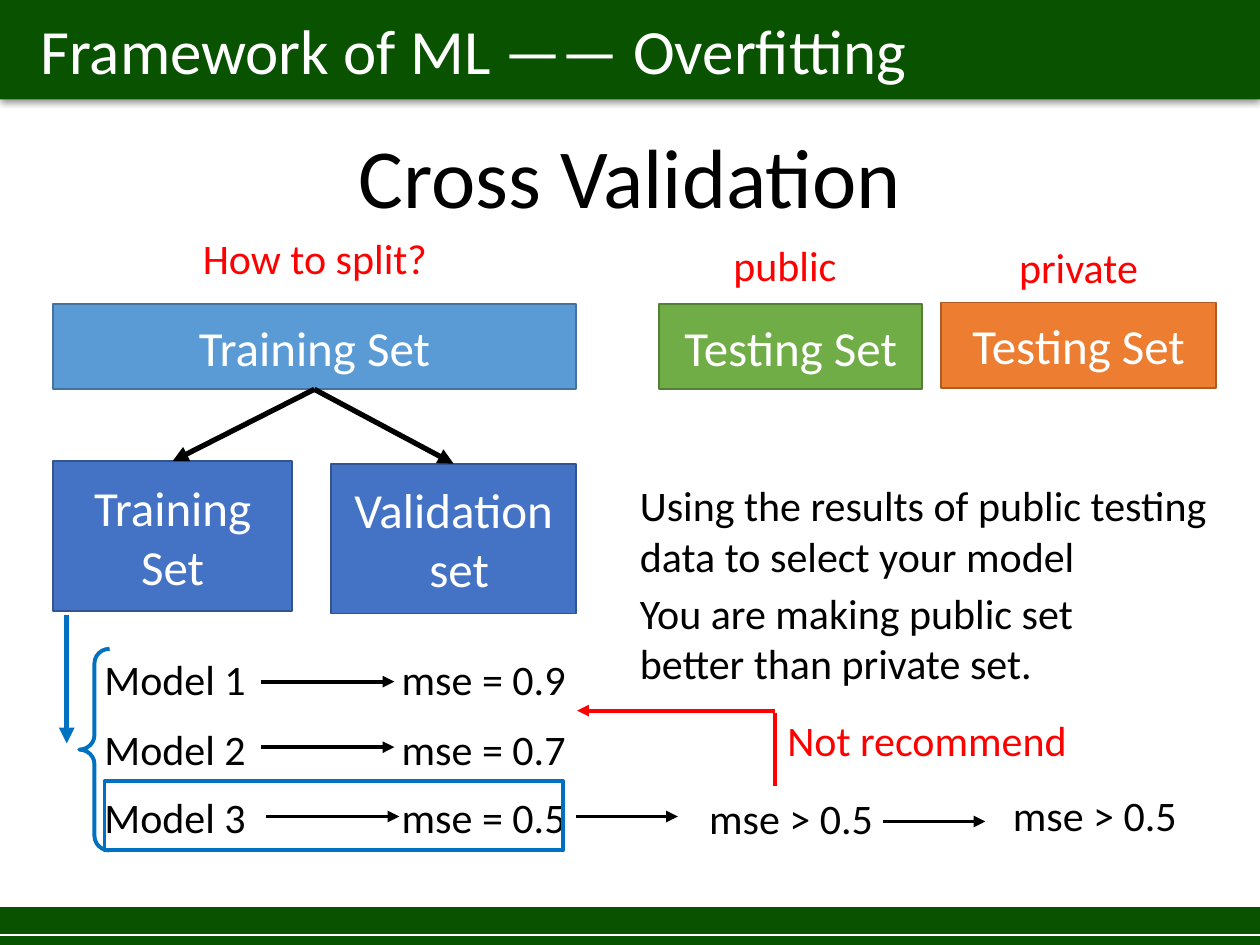
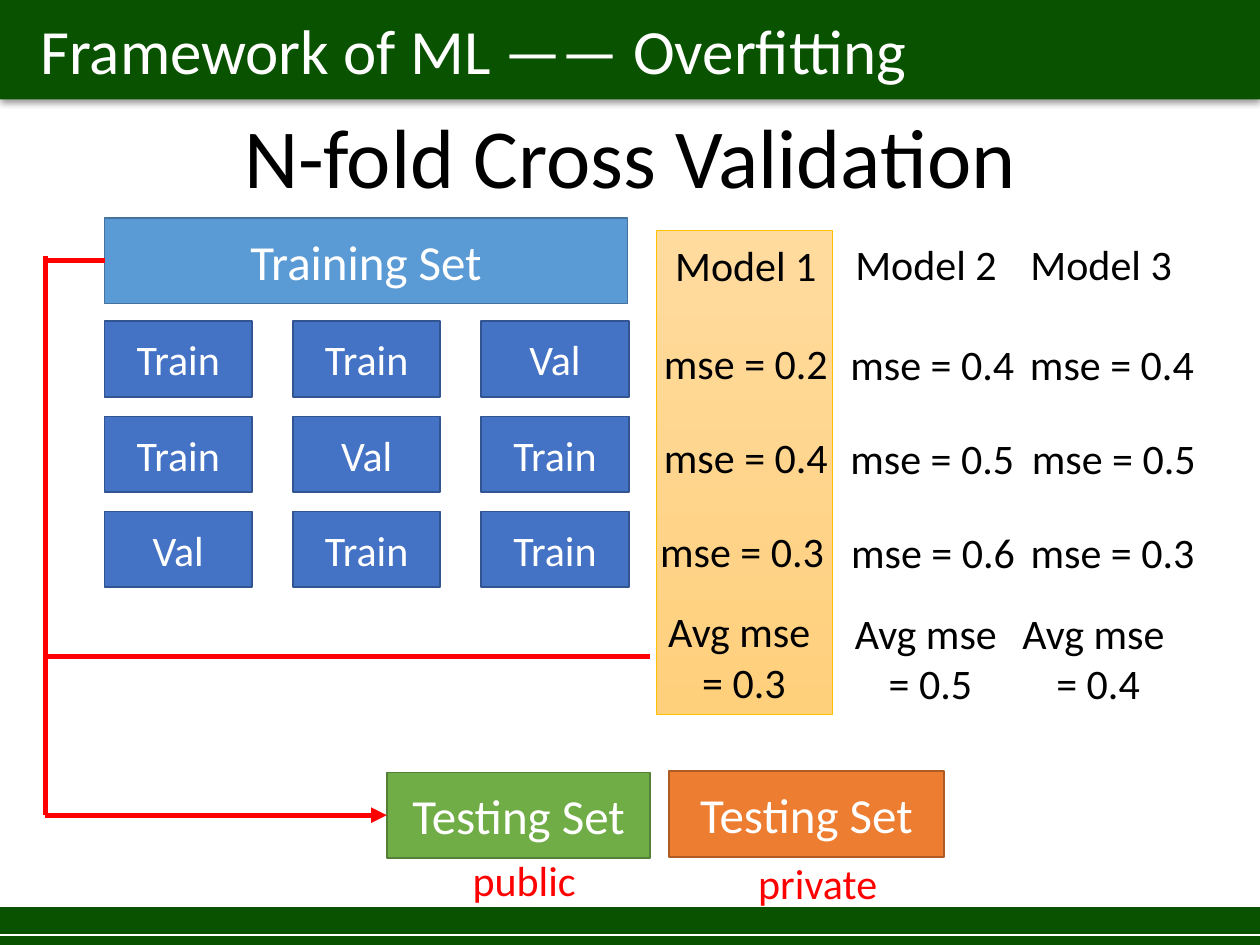
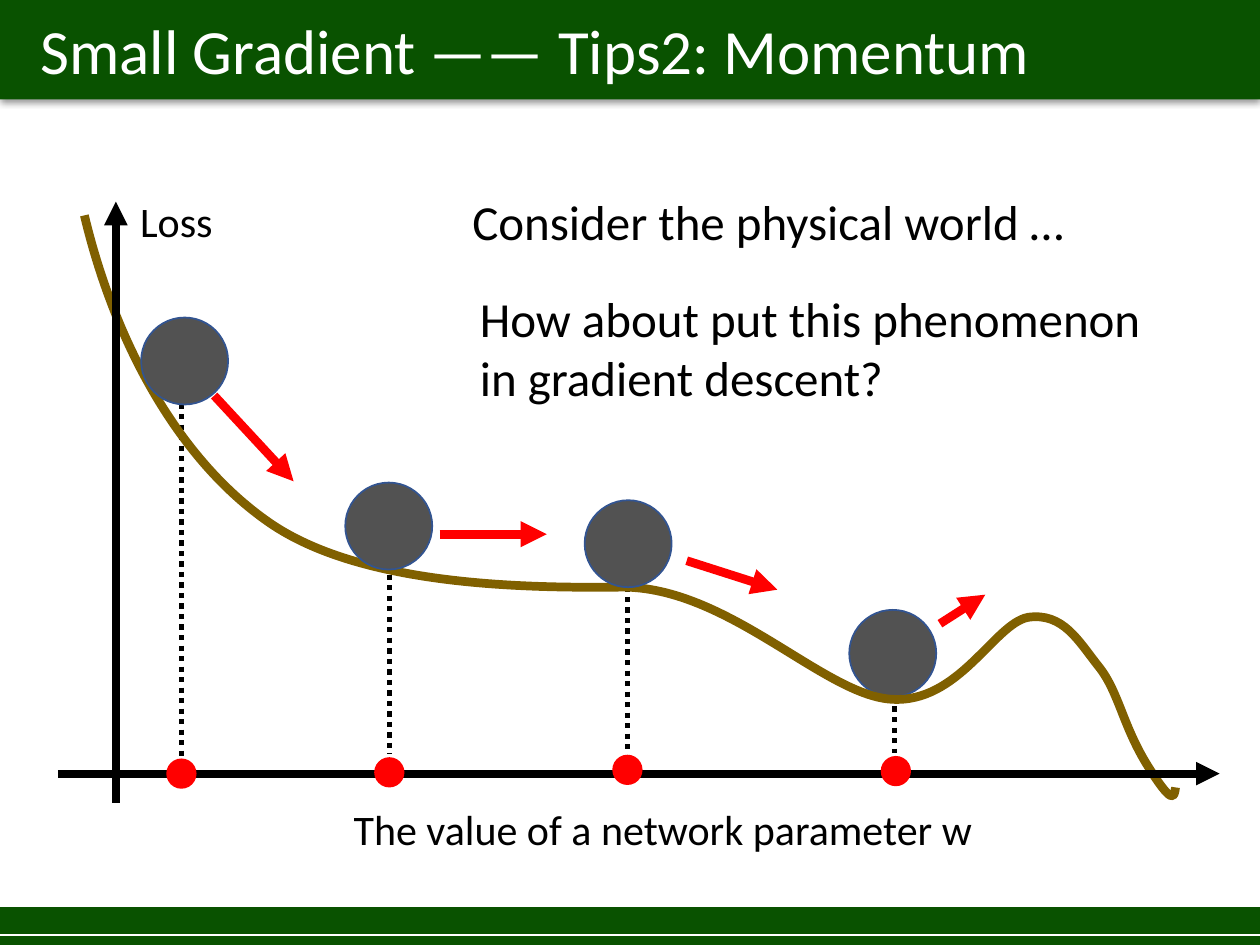
from dataclasses import dataclass
from typing import Any, NamedTuple

from lxml import etree
from pptx import Presentation
from pptx.dml.color import RGBColor
from pptx.enum.dml import MSO_LINE
from pptx.enum.shapes import MSO_CONNECTOR, MSO_SHAPE
from pptx.enum.text import MSO_ANCHOR, MSO_AUTO_SIZE, PP_ALIGN
from pptx.oxml.ns import qn
from pptx.util import Inches, Pt

RECTANGLE = MSO_SHAPE.RECTANGLE
ELLIPSE = MSO_SHAPE.OVAL
LEFT_BRACE = MSO_SHAPE.LEFT_BRACE
STRAIGHT = MSO_CONNECTOR.STRAIGHT
DOTTED = MSO_LINE.ROUND_DOT
LEFT = PP_ALIGN.LEFT
CENTER = PP_ALIGN.CENTER
TOP = MSO_ANCHOR.TOP
MIDDLE = MSO_ANCHOR.MIDDLE
BOTTOM = MSO_ANCHOR.BOTTOM
GROW = MSO_AUTO_SIZE.SHAPE_TO_FIT_TEXT
FIXED = MSO_AUTO_SIZE.NONE

FONT = "Calibri"
GREEN_BAND = "095200"
BLACK = "000000"
WHITE = "FFFFFF"
RED = "FF0000"
BLUE = "0070C0"
BROWN = "806000"
GREY = "525252"

TOP_SIDE, LEFT_SIDE, BOTTOM_SIDE = 0, 1, 2

Point = tuple[float, float]


class Palette(NamedTuple):
    fill: str | None
    line: str | None
    weight: float = 1


SKY = Palette("5B9BD5", "43739E")
ROYAL = Palette("4472C4", "325491")
LEAF = Palette("70AD47", "538035")
ORANGE = Palette("ED7D31", "AF5C24")
BALL = Palette(GREY, "325491")
MARKER = Palette(RED, None)
BAND = Palette(GREEN_BAND, None)
OUTLINE = Palette(None, BLUE, 2.25)
HIGHLIGHT = Palette(None, "FFC000", 0.5)


@dataclass
class Box:
    left: float
    top: float
    width: float
    height: float
    palette: Palette
    text: str = ""
    size: float = 28
    align: Any = CENTER
    inset: float = 0.1
    preset: Any = RECTANGLE


@dataclass
class Label:
    text: str
    left: float
    top: float
    width: float
    height: float = 0.5
    size: float = 24
    color: str = BLACK
    align: Any = LEFT
    anchor: Any = TOP
    autosize: Any = GROW
    spacing: float = 1


@dataclass
class Stroke:
    start: Point
    end: Point
    color: str = BLACK
    weight: float = 2.25
    arrow: bool = True
    dash: Any = None


class Score(NamedTuple):
    value: str
    left: float
    width: float


class Model(NamedTuple):
    name: str
    name_left: float
    average_left: float
    name_top: float
    scores_top: float
    scores: tuple[Score, ...]
    average: str


def colour(value: str) -> RGBColor:
    return RGBColor.from_string(value)


def set_attributes(target: Any, values: dict[str, Any]) -> None:
    for name, value in values.items():
        setattr(target, name, value)


def write_text(frame: Any, text: str, size: float, color: str, align: Any,
               spacing: float = 1) -> None:
    for index, line in enumerate(text.split("\n")):
        para = frame.add_paragraph() if index else frame.paragraphs[0]
        set_attributes(para, {"alignment": align, "line_spacing": spacing})
        span = para.add_run()
        span.text = line
        set_attributes(span.font, {"name": FONT, "size": Pt(size)})
        span.font.color.rgb = colour(color)


def paint(shape: Any, palette: Palette) -> None:
    shape.shadow.inherit = False
    if palette.fill:
        shape.fill.solid()
        shape.fill.fore_color.rgb = colour(palette.fill)
    else:
        shape.fill.background()
    if palette.line:
        shape.line.color.rgb = colour(palette.line)
        shape.line.width = Pt(palette.weight)
    else:
        shape.line.fill.background()


def draw_box(page: Any, box: Box) -> Any:
    shape = page.shapes.add_shape(
        box.preset, Inches(box.left), Inches(box.top), Inches(box.width), Inches(box.height))
    paint(shape, box.palette)
    if box.text:
        frame = shape.text_frame
        set_attributes(frame, {"word_wrap": True, "vertical_anchor": MIDDLE,
                               "margin_left": Inches(box.inset)})
        write_text(frame, box.text, box.size, WHITE, box.align)
    return shape


def draw_label(page: Any, label: Label) -> None:
    shape = page.shapes.add_textbox(
        Inches(label.left), Inches(label.top), Inches(label.width), Inches(label.height))
    set_attributes(shape.text_frame, {"word_wrap": True, "vertical_anchor": label.anchor,
                                      "auto_size": label.autosize})
    write_text(shape.text_frame, label.text, label.size, label.color, label.align, label.spacing)


def draw_stroke(page: Any, stroke: Stroke) -> Any:
    ends = [Inches(value) for value in (*stroke.start, *stroke.end)]
    connector = page.shapes.add_connector(STRAIGHT, *ends)
    connector.line.color.rgb = colour(stroke.color)
    set_attributes(connector.line, {"width": Pt(stroke.weight), "dash_style": stroke.dash})
    properties = connector.element.spPr
    if stroke.arrow:
        etree.SubElement(properties.find(qn("a:ln")), qn("a:tailEnd"), type="triangle")
    etree.SubElement(properties, qn("a:effectLst"))
    return connector


def draw_heading(page: Any, text: str, top: float) -> None:
    draw_label(page, Label(text, 0.69, top, 8.62, 1.45, 48, align=CENTER,
                           anchor=BOTTOM, autosize=FIXED, spacing=0.9))


def add_page(deck: Any, title: str) -> Any:
    page = deck.slides.add_slide(deck.slide_layouts[6])
    header = draw_box(page, Box(0, -0.01, 10, 0.8, BAND, title, 36, LEFT, 0.32))
    effects = header.element.spPr.find(qn("a:effectLst"))
    shadow = etree.SubElement(effects, qn("a:outerShdw"), blurRad=str(Pt(4)), dist=str(Pt(1)),
                              dir="5400000", algn="t", rotWithShape="0")
    shade = etree.SubElement(shadow, qn("a:srgbClr"), val=BLACK)
    etree.SubElement(shade, qn("a:alpha"), val="40000")
    draw_box(page, Box(0, 7.2, 10, 0.3, BAND))
    draw_stroke(page, Stroke((0, 7.42), (10, 7.42), WHITE, 0.75, False))
    return page


def draw_testing_sets(page: Any, left: float, top: float) -> Any:
    public = draw_box(page, Box(left, top, 2.09, 0.68, LEAF, "Testing Set"))
    draw_box(page, Box(left + 2.24, top - 0.01, 2.18, 0.68, ORANGE, "Testing Set"))
    return public


def cross_validation(deck: Any) -> None:
    page = add_page(deck, "Framework of ML —— Overfitting")
    whole = draw_box(page, Box(0.42, 2.41, 4.15, 0.68, SKY, "Training Set"))
    draw_testing_sets(page, 5.23, 2.41)
    draw_label(page, Label("public", 5.23, 1.85, 2, color=RED, align=CENTER))
    draw_label(page, Label("private", 7.56, 1.87, 2, color=RED, align=CENTER))
    training = draw_box(page, Box(0.42, 3.66, 1.9, 1.19, ROYAL, "Training Set"))
    validation = draw_box(page, Box(2.63, 3.68, 1.94, 1.19, ROYAL, "Validation\n set"))
    for part, end in ((training, (1.37, 3.66)), (validation, (3.6, 3.68))):
        split = draw_stroke(page, Stroke((2.5, 3.09), end, weight=3))
        split.begin_connect(whole, BOTTOM_SIDE)
        split.end_connect(part, TOP_SIDE)

    rows = (("Model 1", "mse = 0.9", 5.14), ("Model 2", "mse = 0.7", 5.69),
            ("Model 3", "mse = 0.5", 6.23))
    for name, error, top in rows:
        draw_label(page, Label(name, 0.73, top, 1.38))
        draw_label(page, Label(error, 3.09, top, 1.7))
    for left, top, length in ((2.07, 5.41, 1.06), (2.07, 5.93, 1.06), (2.11, 6.48, 1.06),
                              (4.57, 6.48, 0.81), (7.01, 6.52, 0.81)):
        draw_stroke(page, Stroke((left, top), (left + length, top)))
    for left, top in ((5.53, 6.24), (7.94, 6.22)):
        draw_label(page, Label("mse > 0.5", left, top, 1.7))
    brace = draw_box(page, Box(0.63, 5.15, 0.24, 1.6, OUTLINE, preset=LEFT_BRACE))
    brace.adjustments[0] = 0.48
    draw_stroke(page, Stroke((0.53, 4.88), (0.53, 5.9), BLUE, 3))
    draw_box(page, Box(0.83, 6.2, 3.64, 0.55, OUTLINE))
    draw_stroke(page, Stroke((6.15, 6.24), (6.15, 5.66), RED, arrow=False))
    draw_stroke(page, Stroke((6.15, 5.64), (4.58, 5.64), RED))

    for label in (
        Label("Using the results of public testing data to select your model",
              4.98, 3.76, 4.81, 0.91),
        Label("You are making public set better than private set.", 4.98, 4.61, 4.08, 0.91),
        Label("Not recommend", 6.15, 5.62, 2.75, color=RED),
        Label("How to split?", 0.46, 1.8, 4.08, color=RED, align=CENTER),
    ):
        draw_label(page, label)
    draw_heading(page, "Cross Validation", 0.4)


def n_fold(deck: Any) -> None:
    page = add_page(deck, "Framework of ML —— Overfitting")
    chosen = draw_box(page, Box(5.21, 1.83, 1.4, 3.84, HIGHLIGHT))
    chosen.fill.gradient()
    chosen.fill.gradient_angle = 270
    for stop, shade in zip(chosen.fill.gradient_stops, ("FFDB9E", "FFD07C")):
        stop.color.rgb = colour(shade)
    draw_heading(page, "N-fold Cross Validation", 0.24)

    whole = draw_box(page, Box(0.83, 1.73, 4.15, 0.68, SKY, "Training Set"))
    for row in range(3):
        for column in range(3):
            text = "Val" if row + column == 2 else "Train"
            draw_box(page, Box(0.83 + 1.495 * column, 2.55 + 0.755 * row, 1.17, 0.6,
                               ROYAL, text, 24))

    for model in (
        Model("Model 1", 5.26, 5.16, 1.85, 2.63,
              (Score("0.2", 5.1, 1.64), Score("0.4", 5.1, 1.64), Score("0.3", 5.05, 1.68)),
              "0.3"),
        Model("Model 2", 6.69, 6.64, 1.84, 2.64,
              (Score("0.4", 6.58, 1.64), Score("0.5", 6.58, 1.64), Score("0.6", 6.6, 1.61)),
              "0.5"),
        Model("Model 3", 8.08, 7.97, 1.84, 2.64,
              (Score("0.4", 8.03, 1.59), Score("0.5", 8.06, 1.56), Score("0.3", 8.03, 1.6)),
              "0.4"),
    ):
        draw_label(page, Label(model.name, model.name_left, model.name_top, 1.38))
        for row, score in enumerate(model.scores):
            draw_label(page, Label(f"mse = {score.value}", score.left,
                                   model.scores_top + 0.745 * row, score.width, align=CENTER))
        draw_label(page, Label(f"Avg mse \n= {model.average}", model.average_left,
                               model.scores_top + 2.13, 1.49, 0.91, align=CENTER))

    public = draw_testing_sets(page, 3.07, 6.13)
    draw_label(page, Label("public", 3.16, 6.73, 2, color=RED, align=CENTER))
    draw_label(page, Label("private", 5.49, 6.76, 2, color=RED, align=CENTER))
    draw_stroke(page, Stroke((0.36, 2.03), (0.36, 6.47), RED, 3, False))
    draw_stroke(page, Stroke((5.16, 5.21), (0.36, 5.21), RED, 3, False))
    source = draw_stroke(page, Stroke((0.83, 2.07), (0.36, 2.07), RED, 3, False))
    source.begin_connect(whole, LEFT_SIDE)
    target = draw_stroke(page, Stroke((0.36, 6.47), (3.07, 6.47), RED, 3))
    target.end_connect(public, LEFT_SIDE)


def draw_loss_curve(page: Any) -> None:
    left, top, height = 0.67, 1.71, 4.6
    points = (
        (0.92, 2.75), (1.43, 3.66), (2.14, 4.15),
        (2.85, 4.64), (4.1, 4.67), (4.94, 4.66),
        (5.78, 4.66), (6.53, 5.51), (7.07, 5.55),
        (7.61, 5.59), (7.89, 4.95), (8.16, 4.9),
        (8.44, 4.86), (8.56, 5.09), (8.72, 5.29),
        (8.88, 5.49), (8.91, 5.76), (9.11, 6.08),
        (9.31, 6.4), (9.32, 6.33), (9.33, 6.25),
    )
    builder = page.shapes.build_freeform(Inches(left), Inches(top))
    builder.add_line_segments([(Inches(x), Inches(y)) for x, y in points], close=False)
    curve = builder.convert_to_shape()
    outline = next(curve.element.iter(qn("a:path")))
    lines = outline.findall(qn("a:lnTo"))
    for index in range(0, len(lines), 3):
        bend = etree.SubElement(outline, qn("a:cubicBezTo"))
        for line in lines[index:index + 3]:
            bend.append(line[0])
            outline.remove(line)
    outline.set("h", str(Inches(height)))
    curve.height = Inches(height)
    paint(curve, Palette(None, BROWN, 5))


def draw_circle(page: Any, left: float, top: float, diameter: float, palette: Palette) -> None:
    draw_box(page, Box(left, top, diameter, diameter, palette, preset=ELLIPSE))


def momentum(deck: Any) -> None:
    page = add_page(deck, "Small Gradient —— Tips2: Momentum")
    draw_stroke(page, Stroke((7.1, 5.19), (7.1, 5.98), weight=3, arrow=False, dash=DOTTED))
    draw_circle(page, 6.74, 4.84, 0.69, BALL)
    for x, top, bottom in ((4.98, 4.07, 6), (3.09, 4.06, 5.98), (1.44, 2.87, 6.02)):
        draw_stroke(page, Stroke((x, top), (x, bottom), weight=3, arrow=False, dash=DOTTED))
    draw_loss_curve(page)
    draw_circle(page, 4.64, 3.97, 0.69, BALL)
    draw_stroke(page, Stroke((0.46, 6.14), (9.68, 6.14), weight=4.5))
    draw_stroke(page, Stroke((0.92, 6.37), (0.92, 1.6), weight=4.5))
    draw_label(page, Label("Loss", 0.87, 1.5, 1.06, align=CENTER))
    draw_label(page, Label("The value of a network parameter w", 2.42, 6.33, 5.68, align=CENTER))
    for left, top in ((1.12, 2.52), (2.74, 3.83)):
        draw_circle(page, left, top, 0.69, BALL)
    for left, top in ((1.32, 6.02), (2.97, 6.01), (4.86, 5.99), (6.99, 6)):
        draw_circle(page, left, top, 0.24, MARKER)
    draw_label(page, Label("Consider the physical world …", 3.65, 1.47, 5.68, 0.57, 28))
    for start, end in (((1.7, 3.14), (2.33, 3.82)), ((3.49, 4.24), (4.34, 4.24)),
                       ((5.45, 4.45), (6.17, 4.68)), ((7.46, 4.95), (7.82, 4.72))):
        draw_stroke(page, Stroke(start, end, RED, 5))
    draw_label(page, Label("How about put this phenomenon in gradient descent?",
                           3.71, 2.24, 5.56, 1.04, 28))


def main() -> None:
    deck = Presentation()
    set_attributes(deck, {"slide_width": Inches(10), "slide_height": Inches(7.5)})
    for build in (cross_validation, n_fold, momentum):
        build(deck)
    deck.save("out.pptx")


if __name__ == "__main__":
    main()
